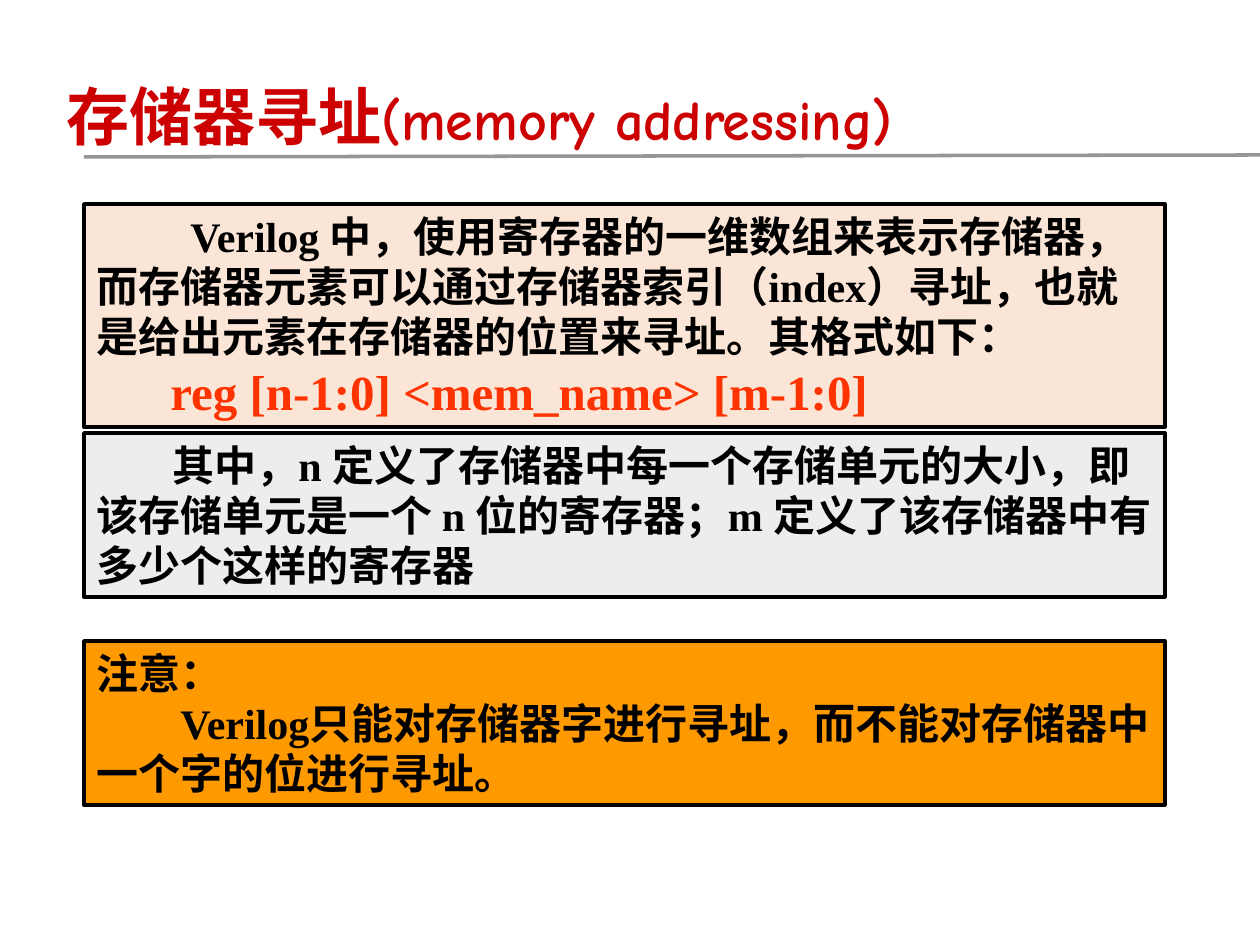
import pptx
import pptx.util
import pptx.dml.color
import pptx.enum.shapes
import pptx.enum.text
import pptx.oxml.ns
import lxml.etree

THEME = {
    "title": "CC0000", "ink": "000000", "code": "FF3300", "rule": "969696",
    "peach": "FBE5D6", "grey": "EDEDED", "orange": "FF9900",
    "title_font": "Comic Neue", "body_font": "Times New Roman",
    "title_size": 36, "subtitle_size": 32, "body_size": 24, "code_size": 28,
    "stroke": 2,
}


def px(length):
    return pptx.util.Emu(round(length * 914400 / 126))


def add_span(para, text, size, color, font):
    span = para.add_run()
    span.text = text
    span.font.size = pptx.util.Pt(THEME[size])
    span.font.name = THEME[font]
    span.font.bold = True
    span.font.color.rgb = pptx.dml.color.RGBColor.from_string(THEME[color])


deck = pptx.Presentation()
deck.slide_width = px(1260)
deck.slide_height = px(945)
page = deck.slides.add_slide(deck.slide_layouts[6])

title = page.shapes.add_textbox(px(54), px(76), px(914), px(89))
title.text_frame.word_wrap = True
title.text_frame.vertical_anchor = pptx.enum.text.MSO_ANCHOR.MIDDLE
para = title.text_frame.paragraphs[0]
para.line_spacing = 0.9
add_span(para, "存储器寻址", "title_size", "title", "title_font")
add_span(para, "(memory addressing)", "subtitle_size", "title", "title_font")

rule = page.shapes.add_connector(
    pptx.enum.shapes.MSO_CONNECTOR.STRAIGHT, px(84), px(157), px(1260), px(155))
rule.line.color.rgb = pptx.dml.color.RGBColor.from_string(THEME["rule"])
rule.line.width = pptx.util.Pt(THEME["stroke"])
lxml.etree.SubElement(rule.element.spPr, pptx.oxml.ns.qn("a:effectLst"))

panels = [
    (204, 223, "peach", [
        (94, "Verilog 中，使用寄存器的一维数组来表示存储器，而存储器元素可以通过存储器索引"
             "（index）寻址，也就是给出元素在存储器的位置来寻址。其格式如下：", "body_size", "ink"),
        (74, "reg [n-1:0] <mem_name> [m-1:0]", "code_size", "code"),
    ]),
    (433, 164, "grey", [
        (76, "其中，n 定义了存储器中每一个存储单元的大小，即该存储单元是一个 n 位的寄存器；"
             "m 定义了该存储器中有多少个这样的寄存器", "body_size", "ink"),
    ]),
    (641, 164, "orange", [
        (0, "注意：", "body_size", "ink"),
        (84, "Verilog只能对存储器字进行寻址，而不能对存储器中一个字的位进行寻址。",
         "body_size", "ink"),
    ]),
]

for top, height, fill, lines in panels:
    box = page.shapes.add_shape(
        pptx.enum.shapes.MSO_SHAPE.RECTANGLE, px(84), px(top), px(1081), px(height))
    box.shadow.inherit = False
    box.fill.solid()
    box.fill.fore_color.rgb = pptx.dml.color.RGBColor.from_string(THEME[fill])
    box.line.color.rgb = pptx.dml.color.RGBColor.from_string(THEME["ink"])
    box.line.width = pptx.util.Pt(THEME["stroke"])
    frame = box.text_frame
    frame.word_wrap = True
    frame.auto_size = pptx.enum.text.MSO_AUTO_SIZE.SHAPE_TO_FIT_TEXT
    frame.vertical_anchor = pptx.enum.text.MSO_ANCHOR.TOP
    for index, (indent, text, size, color) in enumerate(lines):
        para = frame.add_paragraph() if index else frame.paragraphs[0]
        para.alignment = pptx.enum.text.PP_ALIGN.LEFT
        para._p.get_or_add_pPr().set("indent", str(px(indent)))
        add_span(para, text, size, color, "body_font")

deck.save("out.pptx")
